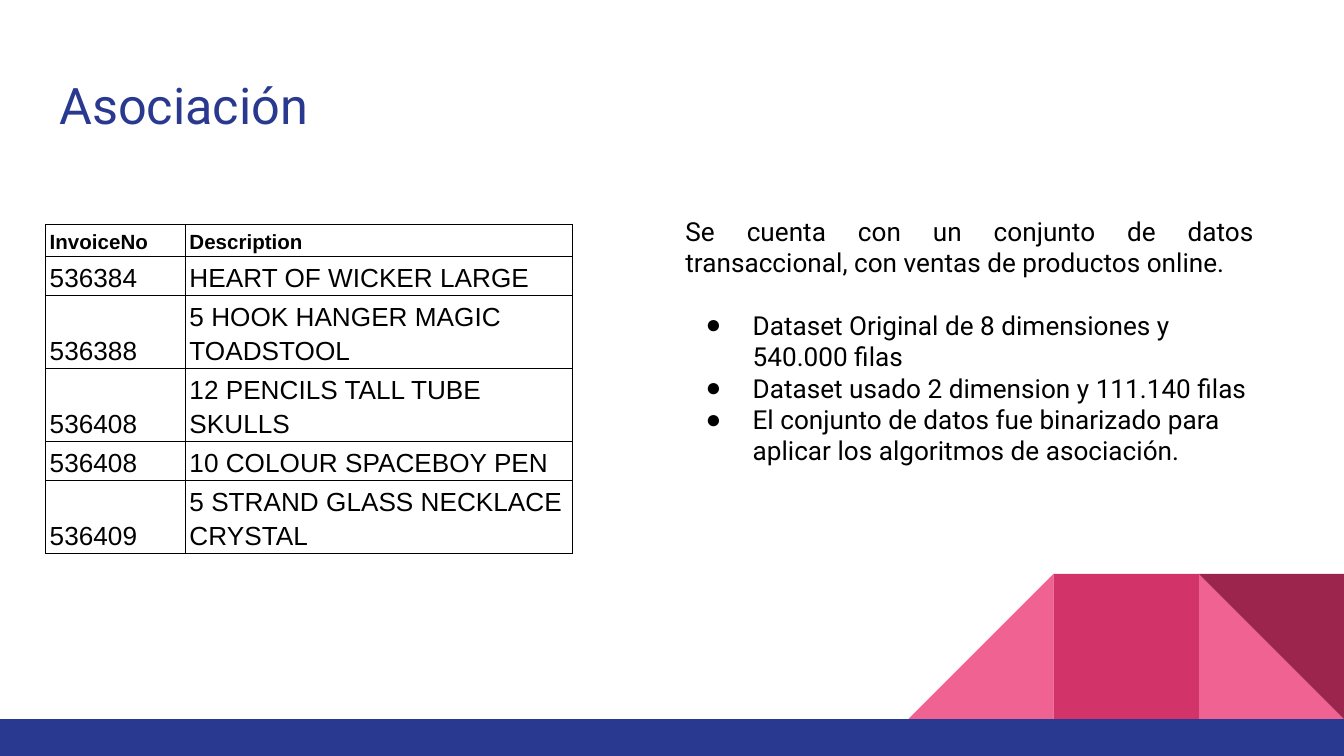
"""Build the "Asociación" slide with an invoice table and a dataset summary."""
from dataclasses import dataclass

from lxml.etree import SubElement
from pptx import Presentation
from pptx.dml.color import RGBColor
from pptx.enum.shapes import MSO_SHAPE as Shape
from pptx.enum.text import MSO_ANCHOR as Anchor, MSO_AUTO_SIZE as AutoSize, PP_ALIGN as Align
from pptx.oxml.ns import qn
from pptx.util import Inches, Pt


@dataclass(frozen=True)
class Theme:
    blue: str = "2A3990"
    pink: str = "F06292"
    rose: str = "D23369"
    wine: str = "9C254D"
    black: str = "000000"
    white: str = "FFFFFF"
    font: str = "Roboto"
    table_font: str = "Arial"
    bullet_font: str = "Arial"
    title_size: float = 27
    body_size: float = 14
    header_size: float = 11
    border_width: float = 0.75


theme = Theme()


def write(paragraph, text, font=theme.font, size=theme.body_size, color=theme.black,
          bold=False, align=Align.LEFT, spacing=1.0, before=0, bullet=None):
    run = paragraph.add_run()
    run.text = text
    run.font.name, run.font.size, run.font.bold = font, Pt(size), bold
    run.font.color.rgb = RGBColor.from_string(color)
    paragraph.alignment, paragraph.line_spacing = align, spacing
    paragraph.space_before, paragraph.space_after = Pt(before), Pt(0)
    properties = paragraph._p.get_or_add_pPr()
    properties.set("marL", str(Inches(0.5) if bullet else 0))
    properties.set("indent", str(Inches(-0.35) if bullet else 0))
    if bullet:
        bullet_color = SubElement(properties, qn("a:buClr"))
        SubElement(bullet_color, qn("a:srgbClr"), val=color)
        SubElement(properties, qn("a:buFont"), typeface=theme.bullet_font)
        SubElement(properties, qn("a:buChar"), char=bullet)
    else:
        SubElement(properties, qn("a:buNone"))


def add_borders(cell):
    properties = cell._tc.get_or_add_tcPr()
    for side in ("lnL", "lnR", "lnT", "lnB"):
        line = SubElement(properties, qn(f"a:{side}"), w=str(Pt(theme.border_width)))
        fill = SubElement(line, qn("a:solidFill"))
        SubElement(fill, qn("a:srgbClr"), val=theme.black)


presentation = Presentation()
presentation.slide_width, presentation.slide_height = Inches(10), Inches(10 * 9 / 16)
slide = presentation.slides.add_slide(presentation.slide_layouts[1])
slide.background.fill.solid()
slide.background.fill.fore_color.rgb = RGBColor.from_string(theme.white)

tile, tile_top, bar_top = 1.08, 4.27, 5.35
decorations = [
    (Shape.RIGHT_TRIANGLE, 10 - tile, tile_top, tile, tile, theme.pink, 0, False),
    (Shape.RIGHT_TRIANGLE, 10 - 3 * tile, tile_top, tile, tile, theme.pink, 0, True),
    (Shape.RECTANGLE, 10 - 2 * tile, tile_top, tile, tile, theme.rose, 0, False),
    (Shape.RIGHT_TRIANGLE, 10 - tile, tile_top, tile, tile, theme.wine, 180, False),
    (Shape.RECTANGLE, 0, bar_top, 10, 0.28, theme.blue, 0, False),
]
for kind, left, top, width, height, color, rotation, flipped in decorations:
    shape = slide.shapes.add_shape(kind, Inches(left), Inches(top), Inches(width), Inches(height))
    shape.shadow.inherit = False
    shape.fill.solid()
    shape.fill.fore_color.rgb = RGBColor.from_string(color)
    shape.line.fill.background()
    shape.rotation = rotation
    if flipped:
        shape._element.spPr.get_or_add_xfrm().set("flipH", "1")

title, body = slide.placeholders
for placeholder, left, top, width, height, anchor in (
    (title, 0.34, 0.45, 9.32, 0.66, Anchor.MIDDLE),
    (body, 5, 1.5, 4.43, 2.09, Anchor.TOP),
):
    placeholder.left, placeholder.top = Inches(left), Inches(top)
    placeholder.width, placeholder.height = Inches(width), Inches(height)
    frame = placeholder.text_frame
    frame.word_wrap, frame.auto_size, frame.vertical_anchor = True, AutoSize.NONE, anchor
    frame.margin_left = frame.margin_right = Inches(0.1)
    frame.margin_top = frame.margin_bottom = Inches(0.1)

write(title.text_frame.paragraphs[0], "Asociación", size=theme.title_size, color=theme.blue)
write(body.text_frame.paragraphs[0],
      "Se cuenta con un conjunto de datos transaccional, con ventas de productos online.",
      align=Align.JUSTIFY)
bullets = [
    "Dataset Original de 8 dimensiones y 540.000 filas",
    "Dataset usado 2 dimension y 111.140 filas",
    "El conjunto de datos fue binarizado para aplicar los algoritmos de asociación.",
]
for index, text in enumerate(bullets):
    write(body.text_frame.add_paragraph(), text, bullet="●", before=0 if index else 16.8)

invoices = [
    ("InvoiceNo", "Description", 0.24),
    ("536384", "HEART OF WICKER LARGE", 0.29),
    ("536388", "5 HOOK HANGER MAGIC TOADSTOOL", 0.54),
    ("536408", "12 PENCILS TALL TUBE SKULLS", 0.54),
    ("536408", "10 COLOUR SPACEBOY PEN", 0.29),
    ("536409", "5 STRAND GLASS NECKLACE CRYSTAL", 0.54),
]
column_widths = (1.04, 2.88)
table = slide.shapes.add_table(
    len(invoices), len(column_widths), Inches(0.34), Inches(1.67),
    Inches(sum(column_widths)), Inches(sum(row[-1] for row in invoices)),
).table
table.first_row = table.horz_banding = False
for column, width in zip(table.columns, column_widths):
    column.width = Inches(width)
for row_index, (*texts, height) in enumerate(invoices):
    table.rows[row_index].height = Inches(height)
    is_header = row_index == 0
    for column_index, text in enumerate(texts):
        cell = table.cell(row_index, column_index)
        add_borders(cell)
        cell.fill.solid()
        cell.fill.fore_color.rgb = RGBColor.from_string(theme.white)
        cell.vertical_anchor = Anchor.BOTTOM
        cell.margin_left = cell.margin_right = Inches(0.03)
        cell.margin_top = cell.margin_bottom = Inches(0.02)
        write(cell.text_frame.paragraphs[0], text, font=theme.table_font, bold=is_header,
              size=theme.header_size if is_header else theme.body_size, spacing=1.15)

presentation.save("out.pptx")
